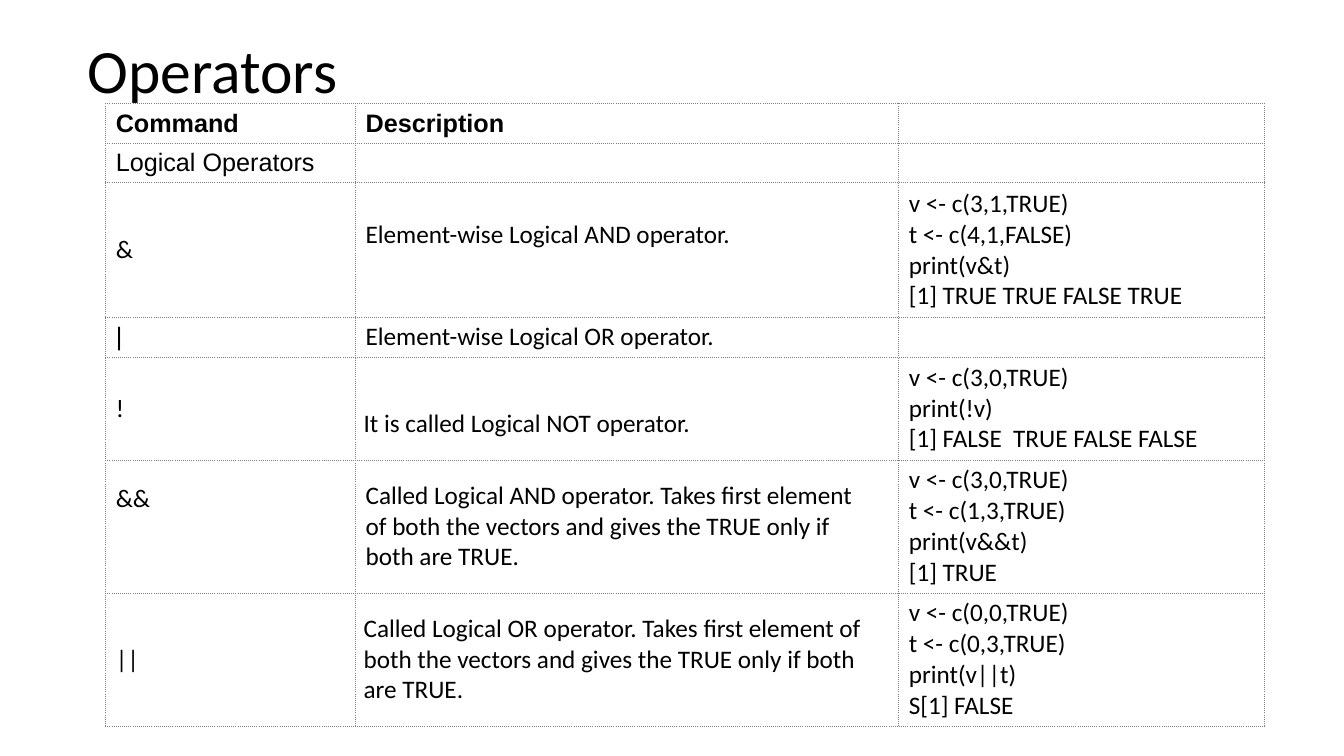
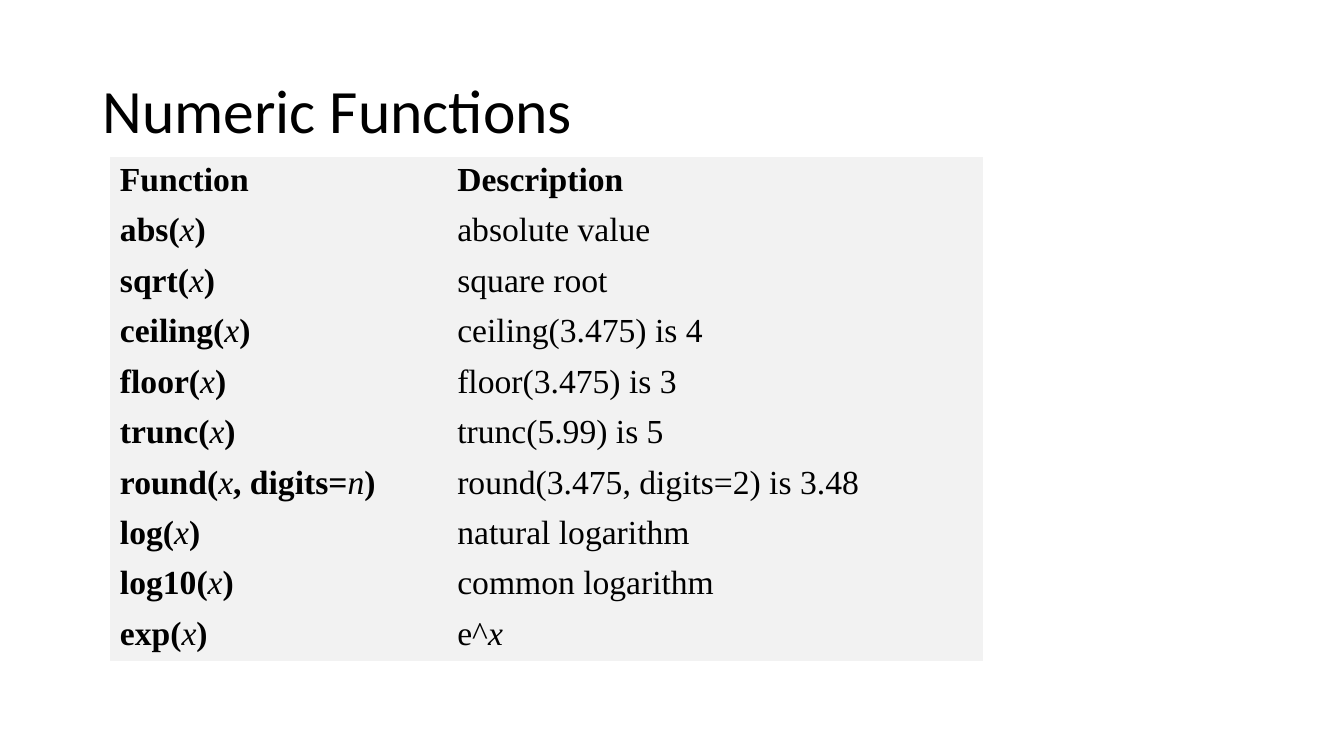
from lxml.etree import SubElement
from pptx import Presentation
from pptx.dml.color import RGBColor
from pptx.enum.text import MSO_ANCHOR
from pptx.oxml import parse_xml
from pptx.oxml.ns import nsdecls, qn
from pptx.util import Pt

BLACK = RGBColor(0x00, 0x00, 0x00)
WHITE = RGBColor(0xFF, 0xFF, 0xFF)
LIGHT_GREY = RGBColor(0xF2, 0xF2, 0xF2)
BORDER_GREY = RGBColor(0x80, 0x80, 0x80)
BODY_FONT, LABEL_FONT, FUNCTION_FONT = "Calibri", "Arial", "Times New Roman"
PLAIN_TABLE_STYLE = "{2D5ABB26-0587-4C30-8999-92F81FD0307C}"

OPERATORS = [
    ("Command", "Description", ""),
    ("Logical Operators", "", ""),
    ("&", "Element-wise Logical AND operator.",
     "v <- c(3,1,TRUE)\nt <- c(4,1,FALSE)\nprint(v&t)\n[1] TRUE TRUE FALSE TRUE"),
    ("|", "Element-wise Logical OR operator.", ""),
    ("!", "It is called Logical NOT operator.",
     "v <- c(3,0,TRUE)\nprint(!v)\n[1] FALSE  TRUE FALSE FALSE"),
    ("&&", "Called Logical AND operator. Takes first element of both the vectors "
     "and gives the TRUE only if both are TRUE.",
     "v <- c(3,0,TRUE)\nt <- c(1,3,TRUE)\nprint(v&&t)\n[1] TRUE"),
    ("||", "Called Logical OR operator. Takes first element of both the vectors "
     "and gives the TRUE only if both are TRUE.",
     "v <- c(0,0,TRUE)\nt <- c(0,3,TRUE)\nprint(v||t)\nS[1] FALSE"),
]
OPERATOR_COLUMNS = (178.5, 388, 261.5)
OPERATOR_ROWS = (27, 27, 96, 28.5, 73.5, 95, 95)
ARIAL_CELLS = {(0, 0), (0, 1), (1, 0), (3, 0)}
# Cell margins in points: left, top, right, bottom
NO_MARGINS = (0, 0, 0, 0)
DEFAULT_MARGINS = (7.2, 3.3, 18.7, 3.3)
SPECIAL_MARGINS = {
    (2, 1): (7.2, 3.3, 18.7, 25.3),
    (4, 1): (5.8, 27.8, 5.8, 5.8),
    (5, 0): (7.2, 3.3, 18.7, 43.3),
    (6, 1): (5.8, 5.8, 5.8, 5.8),
}

# Text between asterisks is italic
FUNCTIONS = [
    ("Function", "Description"),
    ("abs(*x*)", "absolute value"),
    ("sqrt(*x*)", "square root"),
    ("ceiling(*x*)", "ceiling(3.475) is 4"),
    ("floor(*x*)", "floor(3.475) is 3"),
    ("trunc(*x*)", "trunc(5.99) is 5"),
    ("round(*x*, digits=*n*)", "round(3.475, digits=2) is 3.48"),
    ("log(*x*)", "natural logarithm"),
    ("log10(*x*)", "common logarithm"),
    ("exp(*x*)", "e^*x*"),
]
FUNCTION_COLUMNS = (241, 383)
FUNCTION_ROW = 34.8


def write_text(frame, text, *, size, font=BODY_FONT, bold=False, line_spacing=None):
    """Write one paragraph per line; parts between asterisks are italic, never bold."""
    for index, line in enumerate(text.split("\n")):
        paragraph = frame.add_paragraph() if index else frame.paragraphs[0]
        if line_spacing:
            paragraph.line_spacing = line_spacing
        for position, part in enumerate(line.split("*")):
            if not part:
                continue
            italic = position % 2 == 1
            run = paragraph.add_run()
            run.text = part
            run.font.size = Pt(size)
            run.font.name = font
            run.font.bold = bold and not italic
            run.font.italic = italic
            run.font.color.rgb = BLACK


def add_titled_slide(presentation, title, left, top):
    slide = presentation.slides.add_slide(presentation.slide_layouts[6])
    box = slide.shapes.add_textbox(Pt(left), Pt(top), Pt(828), Pt(104.4))
    frame = box.text_frame
    frame.word_wrap = True
    frame.vertical_anchor = MSO_ANCHOR.MIDDLE
    write_text(frame, title, size=44, line_spacing=0.9)
    return slide


def add_plain_table(slide, left, top, widths, heights, fill):
    frame = slide.shapes.add_table(len(heights), len(widths), Pt(left), Pt(top),
                                   Pt(sum(widths)), Pt(sum(heights)))
    table = frame.table
    table.first_row = table.horz_banding = False
    table._tbl.tblPr.find(qn("a:tableStyleId")).text = PLAIN_TABLE_STYLE
    for column, width in zip(table.columns, widths):
        column.width = Pt(width)
    for row, height in zip(table.rows, heights):
        row.height = Pt(height)
    for cell in table.iter_cells():
        cell.fill.solid()
        cell.fill.fore_color.rgb = fill
    return table


def add_dotted_borders(cell):
    properties = cell._tc.get_or_add_tcPr()
    for index, side in enumerate("LRTB"):
        line = parse_xml(f'<a:ln{side} {nsdecls("a")} w="{Pt(0.75)}"/>')
        solid = SubElement(line, qn("a:solidFill"))
        SubElement(solid, qn("a:srgbClr"), val=str(BORDER_GREY))
        SubElement(line, qn("a:prstDash"), val="sysDot")
        properties.insert(index, line)


def set_margins(cell, margins):
    (cell.margin_left, cell.margin_top,
     cell.margin_right, cell.margin_bottom) = map(Pt, margins)


def build_operators(presentation):
    slide = add_titled_slide(presentation, "Operators", 55.5, 0)
    table = add_plain_table(slide, 75.5, 74.2, OPERATOR_COLUMNS, OPERATOR_ROWS, WHITE)
    for row, texts in enumerate(OPERATORS):
        for column, text in enumerate(texts):
            place = (row, column)
            cell = table.cell(row, column)
            cell.vertical_anchor = MSO_ANCHOR.MIDDLE
            margins = SPECIAL_MARGINS.get(place, DEFAULT_MARGINS)
            set_margins(cell, margins if text else NO_MARGINS)
            add_dotted_borders(cell)
            font = LABEL_FONT if place in ARIAL_CELLS else BODY_FONT
            write_text(cell.text_frame, text, size=18, font=font, bold=row == 0)


def build_functions(presentation):
    slide = add_titled_slide(presentation, "Numeric Functions", 66.2, 28.8)
    heights = [FUNCTION_ROW] * len(FUNCTIONS)
    table = add_plain_table(slide, 78.5, 111.8, FUNCTION_COLUMNS, heights, LIGHT_GREY)
    for row, texts in enumerate(FUNCTIONS):
        for column, text in enumerate(texts):
            write_text(table.cell(row, column).text_frame, text, size=24,
                       font=FUNCTION_FONT, bold=row == 0 or column == 0)


def main():
    presentation = Presentation()
    presentation.slide_width = Pt(960)
    presentation.slide_height = Pt(540)
    build_operators(presentation)
    build_functions(presentation)
    presentation.save("out.pptx")


if __name__ == "__main__":
    main()
